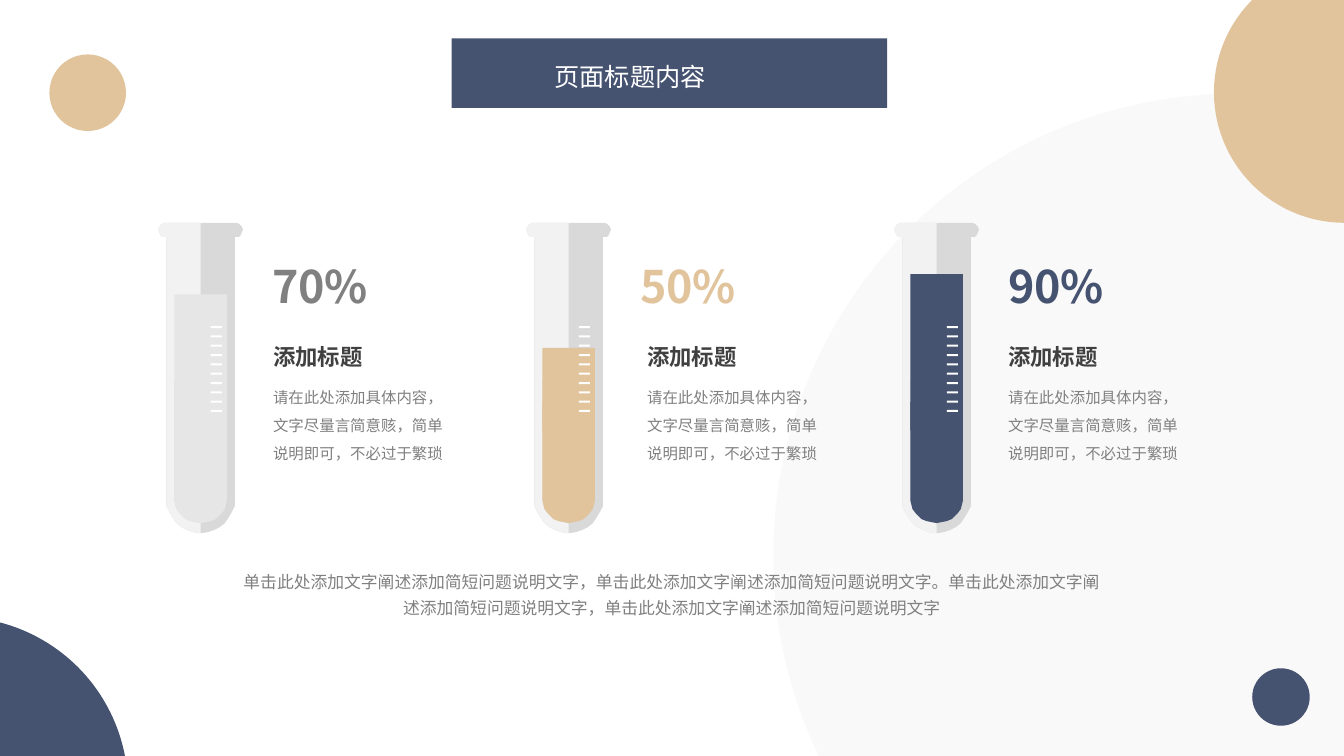
from dataclasses import dataclass

import pptx
import pptx.dml.color
import pptx.enum.shapes
import pptx.enum.text
import pptx.oxml
import pptx.oxml.ns
import pptx.util
from pptx.util import Inches

SHAPE = pptx.enum.shapes.MSO_SHAPE
ALIGN = pptx.enum.text.PP_ALIGN
FONT = "Noto Sans CJK SC"
COLORS = {
    "navy": "455371", "sand": "E1C49C", "pale": "F2F2F2", "glass": "D9D9D9",
    "silver": "E7E6E6", "gray": "808080", "dark": "404040", "white": "FFFFFF",
}
DESCRIPTION = "请在此处添加具体内容，文字尽量言简意赅，简单说明即可，不必过于繁琐"
SUMMARY = (
    "单击此处添加文字阐述添加简短问题说明文字，单击此处添加文字阐述添加简短问题说明文字。"
    "单击此处添加文字阐述添加简短问题说明文字，单击此处添加文字阐述添加简短问题说明文字"
)

# Left-hand profiles of a tube: x from its axis, y from the top of the slide.
GLASS_PROFILE = [
    (0, 2.21), (-0.35, 2.21), (-0.38, 2.22), (-0.4, 2.24), (-0.41, 2.25),
    (-0.42, 2.28), (-0.41, 2.3), (-0.4, 2.33), (-0.38, 2.35), (-0.34, 2.35),
    (-0.34, 4.95), (-0.34, 5.02), (-0.31, 5.08), (-0.28, 5.13), (-0.24, 5.19),
    (-0.19, 5.23), (-0.13, 5.26), (-0.07, 5.28), (0, 5.29),
]
LIQUID_PROFILE = [
    (-0.26, 3.99), (-0.26, 4.97), (-0.25, 5.01), (-0.24, 5.05), (-0.21, 5.09),
    (-0.18, 5.12), (-0.15, 5.15), (-0.1, 5.17), (-0.05, 5.18), (0, 5.19),
]
INNER_EDGE = LIQUID_PROFILE[::-1] + [(-0.26, 3.78), (0, 3.78)]
FIRST_AXIS, TUBE_PITCH = 1.99, 3.65
LIQUID_BASE = 4.27
TICK_COUNT, TICK_TOP, TICK_STEP = 10, 3.235, 0.0925


@dataclass
class Circle:
    left: float
    top: float
    size: float
    color: str
    opacity: int = 100


@dataclass
class Tube:
    percent: str
    level: float
    liquid: str
    percent_color: str
    percent_left: float
    text_left: float


CIRCLES = [
    Circle(7.67, 0.93, 9.17, "pale", 44),
    Circle(-2.13, 6.12, 3.4, "navy"),
    Circle(12.04, -0.38, 2.59, "sand"),
    Circle(12.42, 6.63, 0.57, "navy"),
    Circle(0.49, 0.54, 0.76, "sand"),
]
TUBES = [
    Tube("70%", 2.92, "silver", "gray", 2.6, 2.61),
    Tube("50%", 3.45, "sand", "sand", 6.25, 6.32),
    Tube("90%", 2.72, "navy", "navy", 9.9, 9.9),
]


def rgb(color: str) -> pptx.dml.color.RGBColor:
    return pptx.dml.color.RGBColor.from_string(COLORS[color])


def paint(sp, color: str) -> None:
    sp.shadow.inherit = False
    sp.fill.solid()
    sp.fill.fore_color.rgb = rgb(color)
    sp.line.fill.background()


def add_preset(slide, kind, left: float, top: float, width: float, height: float, color: str):
    sp = slide.shapes.add_shape(kind, Inches(left), Inches(top), Inches(width), Inches(height))
    paint(sp, color)
    return sp


def add_circle(slide, circle: Circle) -> None:
    sp = add_preset(slide, SHAPE.OVAL, circle.left, circle.top, circle.size, circle.size, circle.color)
    if circle.opacity < 100:
        srgb = sp.fill._xPr.find(".//" + pptx.oxml.ns.qn("a:srgbClr"))
        alpha = pptx.oxml.parse_xml(f'<a:alpha {pptx.oxml.ns.nsdecls("a")} val="{circle.opacity * 1000}"/>')
        srgb.append(alpha)


def add_outline(slide, axis: float, points: list, color: str) -> None:
    vertices = [(Inches(axis + x), Inches(y)) for x, y in points]
    builder = slide.shapes.build_freeform(*vertices[0])
    builder.add_line_segments(vertices[1:], close=True)
    paint(builder.convert_to_shape(), color)


def mirrored(profile: list) -> list:
    """Complete a left-hand profile with its reflection across the axis."""
    return profile + [(-x, y) for x, y in reversed(profile)]


def format_text(sp, text: str, size: float, color: str, bold: bool = False,
                align=ALIGN.LEFT, spacing=None, wrap: bool = True) -> None:
    tf = sp.text_frame
    tf.word_wrap = wrap
    tf.auto_size = pptx.enum.text.MSO_AUTO_SIZE.NONE
    tf.vertical_anchor = pptx.enum.text.MSO_ANCHOR.TOP
    p = tf.paragraphs[0]
    p.text = text
    p.alignment = align
    if spacing is not None:
        p.line_spacing = spacing
    p.font.size = pptx.util.Pt(size)
    p.font.bold = bold
    p.font.color.rgb = rgb(color)
    p.font.name = FONT
    latin = p._p.find(".//" + pptx.oxml.ns.qn("a:latin"))
    latin.addnext(pptx.oxml.parse_xml(f'<a:ea {pptx.oxml.ns.nsdecls("a")} typeface="{FONT}"/>'))


def add_text(slide, left: float, top: float, width: float, height: float,
             text: str, size: float, color: str, **style) -> None:
    sp = slide.shapes.add_textbox(Inches(left), Inches(top), Inches(width), Inches(height))
    format_text(sp, text, size, color, **style)


def add_title(slide) -> None:
    add_preset(slide, SHAPE.RECTANGLE, 4.48, 0.38, 4.32, 0.69, "navy")
    title = slide.shapes.title
    title.left, title.top = Inches(5.4), Inches(0.56)
    title.width, title.height = Inches(2.48), Inches(0.4)
    format_text(title, "页面标题内容", 18, "white", align=ALIGN.JUSTIFY)
    slide.shapes._spTree.append(title._element)  # bring in front of the banner


def add_tube(slide, axis: float, tube: Tube) -> None:
    add_outline(slide, axis, mirrored(GLASS_PROFILE), "glass")
    add_outline(slide, axis, GLASS_PROFILE + INNER_EDGE, "pale")
    add_outline(slide, axis, mirrored(LIQUID_PROFILE), tube.liquid)
    add_preset(slide, SHAPE.RECTANGLE, axis - 0.26, tube.level, 0.52, LIQUID_BASE - tube.level, tube.liquid)
    for i in range(TICK_COUNT):
        add_preset(slide, SHAPE.RECTANGLE, axis + 0.1, TICK_TOP + i * TICK_STEP, 0.11, 0.02, "white")
    add_text(slide, tube.percent_left, 2.52, 1.16, 0.64, tube.percent, 32, tube.percent_color,
             bold=True, wrap=False)
    add_text(slide, tube.text_left, 3.71, 1.91, 0.91, DESCRIPTION, 11, "gray",
             spacing=pptx.util.Pt(20))
    add_text(slide, tube.text_left, 3.36, 1.19, 0.37, "添加标题", 16, "dark", bold=True)


def main() -> None:
    prs = pptx.Presentation()
    prs.slide_width, prs.slide_height = Inches(13.33), Inches(7.5)
    slide = prs.slides.add_slide(prs.slide_layouts.get_by_name("Title Only"))
    for circle in CIRCLES:
        add_circle(slide, circle)
    add_title(slide)
    for i, tube in enumerate(TUBES):
        add_tube(slide, FIRST_AXIS + i * TUBE_PITCH, tube)
    add_text(slide, 2.25, 5.56, 8.83, 0.6, SUMMARY, 12, "gray", align=ALIGN.CENTER, spacing=1.3)
    prs.save("out.pptx")


if __name__ == "__main__":
    main()
